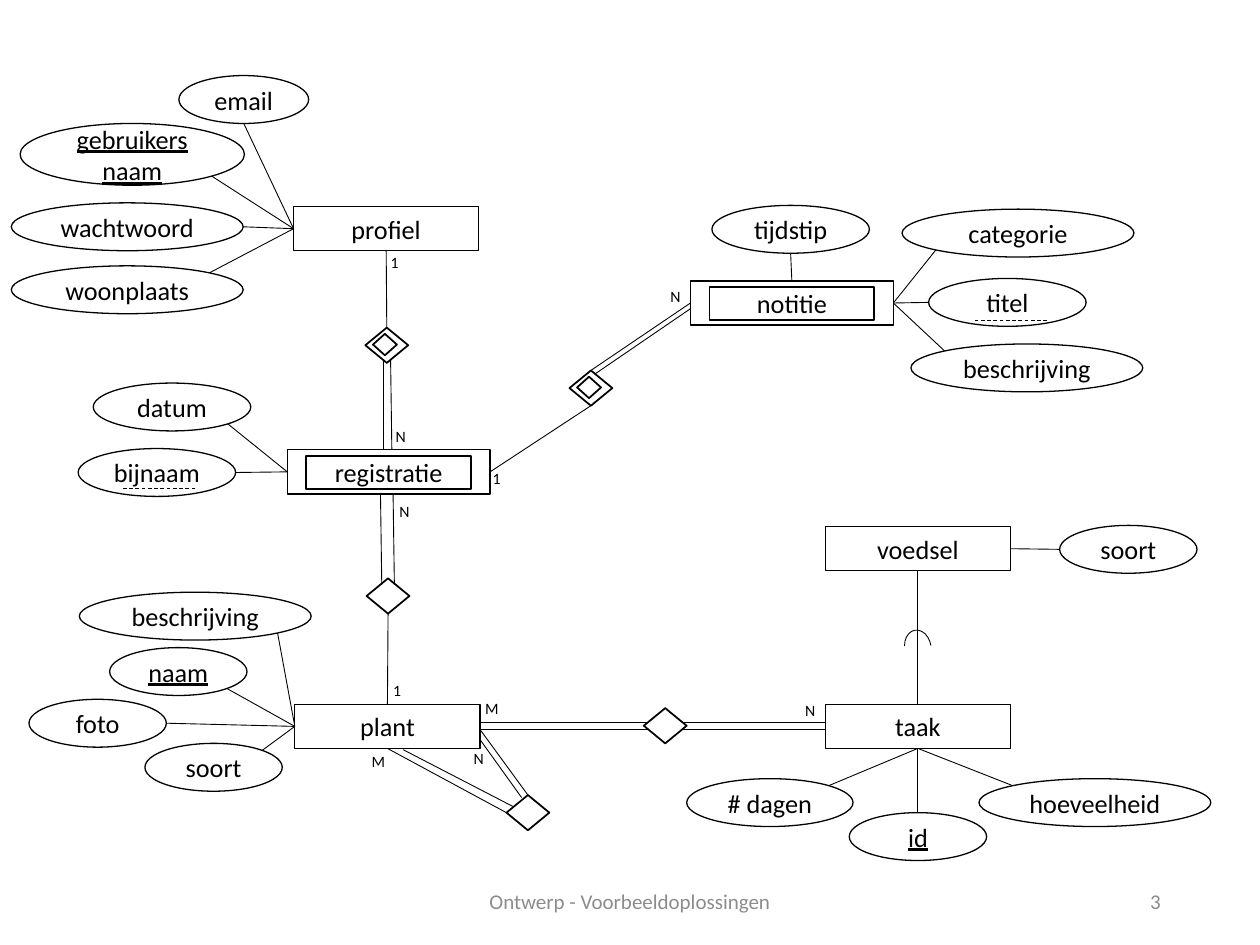
from lxml import etree
from pptx import Presentation
from pptx.dml.color import RGBColor
from pptx.enum import dml, shapes, text
from pptx.oxml import ns
from pptx.util import Inches, Pt

BLACK = RGBColor(0x00, 0x00, 0x00)
WHITE = RGBColor(0xFF, 0xFF, 0xFF)
GREY = RGBColor(0x8C, 0x8C, 0x8C)
FONT = "Calibri"
TOP, LEFT, BOTTOM, RIGHT = range(4)
DIAGONAL = 0.71
ENTITY_HEIGHT = 0.35
ATTRIBUTE_HEIGHT = 0.38
DIAMOND_SIZE = (0.34, 0.28)
INNER_DIAMOND_SIZE = (0.19, 0.17)

DIRECTIONS = {
    "top": (0, -1), "bottom": (0, 1), "left": (-1, 0), "right": (1, 0),
    "top left": (-DIAGONAL, -DIAGONAL), "top right": (DIAGONAL, -DIAGONAL),
    "bottom left": (-DIAGONAL, DIAGONAL), "bottom right": (DIAGONAL, DIAGONAL),
}

ENTITIES = [
    ("profiel", 2.33, 1.64, 1.47, False),
    ("plant", 2.34, 5.59, 1.47, False),
    ("taak", 6.55, 5.59, 1.47, False),
    ("voedsel", 6.55, 4.18, 1.47, False),
    ("registratie", 2.28, 3.57, 1.61, True),
    ("notitie", 5.48, 2.23, 1.61, True),
]

RELATIONSHIPS = [
    ("profiel-registratie", 2.9, 2.6, True),
    ("registratie-notitie", 4.52, 2.94, True),
    ("registratie-plant", 2.91, 4.59, False),
    ("plant-taak", 5.11, 5.62, False),
    ("plant-plant", 4.02, 6.31, False),
]

ATTRIBUTES = [
    ("email", 1.42, 0.6, 1.03, False, "bottom", "profiel", LEFT),
    ("gebruikers\nnaam", 0.16, 0.98, 1.78, True, "bottom right", "profiel", LEFT),
    ("wachtwoord", 0.09, 1.61, 1.84, False, "right", "profiel", LEFT),
    ("woonplaats", 0.09, 2.11, 1.84, False, "top right", "profiel", LEFT),
    ("datum", 0.74, 3.04, 1.25, False, "bottom right", "registratie", LEFT),
    ("bijnaam", 0.62, 3.56, 1.25, False, "right", "registratie", LEFT),
    ("beschrijving", 0.63, 4.7, 1.84, False, "bottom right", "plant", LEFT),
    ("naam", 0.87, 5.14, 1.09, True, "bottom right", "plant", LEFT),
    ("foto", 0.23, 5.55, 1.09, False, "right", "plant", LEFT),
    ("soort", 1.15, 5.9, 1.09, False, "top right", "plant", LEFT),
    ("# dagen", 5.45, 6.18, 1.32, False, "top right", "taak", BOTTOM),
    ("id", 6.74, 6.45, 1.09, True, "top", "taak", BOTTOM),
    ("hoeveelheid", 7.77, 6.18, 1.84, False, "top left", "taak", BOTTOM),
    ("soort", 8.41, 4.17, 1.09, False, "left", "voedsel", RIGHT),
    ("tijdstip", 5.65, 1.63, 1.25, False, "bottom", "notitie", TOP),
    ("categorie", 7.16, 1.66, 1.84, False, "bottom left", "notitie", RIGHT),
    ("titel", 7.37, 2.21, 1.25, False, "left", "notitie", RIGHT),
    ("beschrijving", 7.23, 2.73, 1.84, False, "top left", "notitie", RIGHT),
]

JOINED_LINES = [
    ("profiel", BOTTOM, "profiel-registratie", TOP),
    ("registratie", RIGHT, "registratie-notitie", BOTTOM),
    ("notitie", LEFT, "registratie-notitie", TOP),
    ("plant", TOP, "registratie-plant", BOTTOM),
    ("plant", BOTTOM, "plant-plant", LEFT),
    ("voedsel", BOTTOM, "taak", TOP),
]

FREE_LINES = [
    (3.04, 3.57, 3.04, 2.85), (3.11, 3.57, 3.1, 2.86),
    (3.13, 4.64, 3.12, 3.92), (3.03, 4.64, 3.02, 3.92),
    (5.14, 5.73, 3.81, 5.73), (5.15, 5.79, 3.81, 5.79),
    (6.55, 5.73, 5.42, 5.73), (6.55, 5.79, 5.42, 5.79),
    (4.19, 6.31, 3.81, 5.79), (4.14, 6.33, 3.81, 5.87),
    (3.2, 5.95, 4.07, 6.4), (5.48, 2.45, 4.72, 2.97),
]

PARTIAL_KEY_LINES = [(1.55, 3.88, 0.96, 3.88), (8.31, 2.54, 7.72, 2.54)]

CARDINALITIES = [
    ("1", 3.02, 1.96), ("N", 3.06, 3.34), ("N", 3.09, 3.93), ("1", 3.04, 5.35),
    ("M", 3.77, 5.5), ("N", 6.31, 5.51), ("M", 2.87, 5.92), ("N", 3.68, 5.89),
    ("N", 5.24, 2.23), ("1", 3.83, 3.67),
]

FOOTERS = [
    ("Ontwerp - Voorbeeldoplossingen", 3.31, 3.38, text.PP_ALIGN.CENTER),
    ("3", 7.06, 2.25, text.PP_ALIGN.RIGHT),
]


def write(shape, content, size, color, align, anchor, underline=None):
    frame = shape.text_frame
    frame.text = content
    frame.vertical_anchor = anchor
    for paragraph in frame.paragraphs:
        paragraph.alignment = align
        for run in paragraph.runs:
            run.font.name = FONT
            run.font.size = Pt(size)
            run.font.color.rgb = color
            run.font.underline = underline


def add_outline(slide, kind, box, width, fill=None):
    shape = slide.shapes.add_shape(kind, *map(Inches, box))
    shape.shadow.inherit = False
    shape.line.color.rgb = BLACK
    shape.line.width = Pt(width)
    if fill is None:
        shape.fill.background()
    else:
        shape.fill.solid()
        shape.fill.fore_color.rgb = fill
    return shape


def add_line(slide, points=(0, 0, 0, 0)):
    line = slide.shapes.add_connector(
        shapes.MSO_CONNECTOR.STRAIGHT, *map(Inches, points))
    line.line.color.rgb = BLACK
    line.line.width = Pt(0.5)
    etree.SubElement(line._element.spPr, ns.qn("a:effectLst"))
    return line


def main():
    presentation = Presentation()
    presentation.slide_width, presentation.slide_height = Inches(10), Inches(7.5)
    slide = presentation.slides.add_slide(presentation.slide_layouts[6])
    kinds = shapes.MSO_SHAPE
    center = text.PP_ALIGN.CENTER
    top_anchor, middle = text.MSO_ANCHOR.TOP, text.MSO_ANCHOR.MIDDLE
    nodes = {}

    for name, left, top, width, weak in ENTITIES:
        nodes[name] = add_outline(
            slide, kinds.RECTANGLE, (left, top, width, ENTITY_HEIGHT), 0.75)
        write(nodes[name], name, 15, BLACK, center, top_anchor)
        if weak:
            inner = (left + 0.15, top + 0.05, width - 0.3, ENTITY_HEIGHT - 0.09)
            add_outline(slide, kinds.RECTANGLE, inner, 1)

    for name, left, top, identifying in RELATIONSHIPS:
        nodes[name] = add_outline(slide, kinds.DIAMOND, (left, top, *DIAMOND_SIZE), 1)
        if identifying:
            inner = (left + 0.06, top + 0.05, *INNER_DIAMOND_SIZE)
            add_outline(slide, kinds.DIAMOND, inner, 1)

    for name, left, top, width, key, direction, entity, site in ATTRIBUTES:
        height = 0.49 if "\n" in name else ATTRIBUTE_HEIGHT
        ellipse = add_outline(slide, kinds.OVAL, (left, top, width, height), 0.75, WHITE)
        frame = ellipse.text_frame
        frame.margin_left = frame.margin_right = 0
        write(ellipse, name, 15, BLACK, center, middle, key or None)
        across, down = DIRECTIONS[direction]
        edge = (left + width / 2 * (1 + across), top + height / 2 * (1 + down))
        add_line(slide, (*edge, *edge)).begin_connect(nodes[entity], site)

    for start, start_site, end, end_site in JOINED_LINES:
        line = add_line(slide)
        line.begin_connect(nodes[start], start_site)
        line.end_connect(nodes[end], end_site)
    for points in FREE_LINES:
        add_line(slide, points)
    for points in PARTIAL_KEY_LINES:
        add_line(slide, points).line.dash_style = dml.MSO_LINE.DASH

    arc = add_outline(slide, kinds.ARC, (7.18, 5, 0.21, 0.28), 0.5)
    arc.adjustments[0], arc.adjustments[1] = 117.56, 0
    arc.rotation = 350.4

    for label, left, top in CARDINALITIES:
        box = slide.shapes.add_textbox(*map(Inches, (left, top, 0.19, 0.25)))
        box.text_frame.margin_left, box.text_frame.margin_right = Inches(0.08), 0
        write(box, label, 9, BLACK, text.PP_ALIGN.LEFT, top_anchor)

    for content, left, width, align in FOOTERS:
        box = slide.shapes.add_textbox(*map(Inches, (left, 6.95, width, 0.4)))
        box.text_frame.word_wrap = True
        write(box, content, 12, GREY, align, middle)

    presentation.save("out.pptx")


if __name__ == "__main__":
    main()
